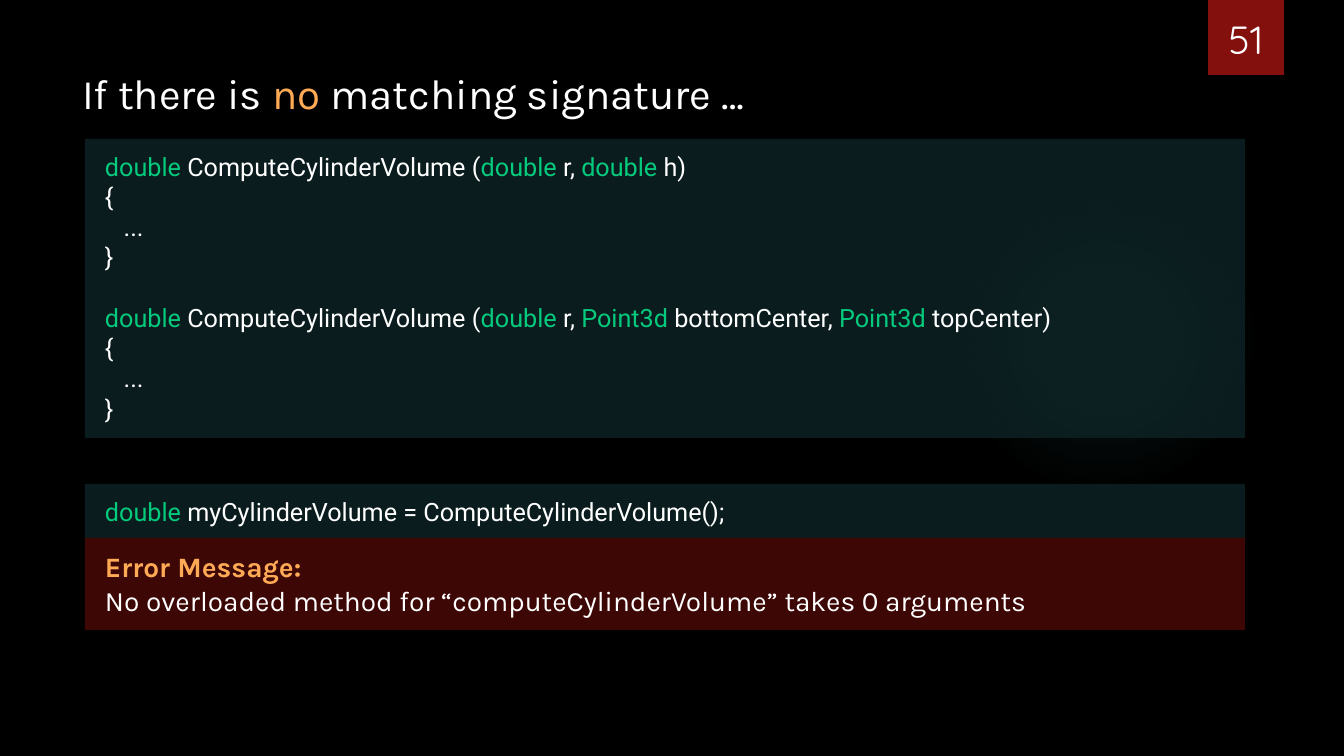
"""Build the slide on calls that match no method signature."""
from pptx import Presentation
from pptx import util as u
from pptx.dml.color import RGBColor
from pptx.enum import shapes, text
from pptx.oxml import parse_xml
from pptx.oxml.ns import nsdecls, qn

WHITE, GREEN, ORANGE = "FFFFFF", "04CA7D", "FFAA55"
TEAL, DARK_RED, RED, GLOW = "0F282A", "580A09", "84100E", "50B9C1"

TITLE = [("If there is ", WHITE), ("no", ORANGE), (" matching signature …", WHITE)]
PAGE = [("51", WHITE)]
BODY = [[("{", WHITE)], [("   ...", WHITE)], [("}", WHITE)]]
METHOD = [("double ", GREEN), ("ComputeCylinderVolume (", WHITE), ("double", GREEN), (" r, ", WHITE)]
BY_HEIGHT = METHOD + [("double", GREEN), (" h)", WHITE)]
BY_CENTERS = METHOD + [("Point3d ", GREEN), ("bottomCenter, ", WHITE),
                       ("Point3d ", GREEN), ("topCenter)", WHITE)]
CALL = [("double ", GREEN), ("myCylinderVolume = ComputeCylinderVolume();", WHITE)]
ERROR = [[("Error Message:", ORANGE)],
         [("No overloaded method for “computeCylinderVolume” takes 0 arguments", WHITE)]]

PANELS = [
    (139, 299, TEAL, "Roboto", 18, [BY_HEIGHT, *BODY, BY_CENTERS, *BODY]),
    (484, 54, TEAL, "Roboto", 18, [CALL]),
    (538, 92, DARK_RED, "Karla", 20, ERROR),
]
PANEL_LEFT, PANEL_WIDTH = 85, 1160
PANEL_OPACITY = 70
GLOW_STOPS = [(0, 7), (36, 6), (69, 0)]


def px(length):
    return u.Emu(round(length * 914400 / 100.8))


def box(*lengths):
    return [px(length) for length in lengths]


def rgb(value):
    return RGBColor.from_string(value)


def add_block(shapes_on_slide, kind, place, color):
    block = shapes_on_slide.add_shape(kind, *box(*place))
    block.shadow.inherit = False
    block.line.fill.background()
    block.fill.solid()
    block.fill.fore_color.rgb = rgb(color)
    return block


def write(paragraph, runs, font, size, align=text.PP_ALIGN.LEFT):
    paragraph.alignment = align
    paragraph.font.name = font
    paragraph.font.size = u.Pt(size)
    for words, color in runs:
        run = paragraph.add_run()
        run.text = words
        run.font.color.rgb = rgb(color)


def make_glow(ellipse):
    stops = "".join(
        f'<a:gs pos="{at * 1000}"><a:srgbClr val="{GLOW}"><a:alpha val="{opacity * 1000}"/>'
        f'</a:srgbClr></a:gs>' for at, opacity in GLOW_STOPS)
    gradient = parse_xml(
        f'<a:gradFill {nsdecls("a")}><a:gsLst>{stops}</a:gsLst><a:path path="circle">'
        '<a:fillToRect l="50000" t="50000" r="50000" b="50000"/></a:path></a:gradFill>')
    solid = ellipse._element.spPr.find(qn("a:solidFill"))
    solid.getparent().replace(solid, gradient)


def add_panel(shapes_on_slide, top, height, color, font, size, lines):
    place = (PANEL_LEFT, top, PANEL_WIDTH, height)
    panel = add_block(shapes_on_slide, shapes.MSO_SHAPE.RECTANGLE, place, color)
    tint = panel._element.spPr.find(qn("a:solidFill"))[0]
    tint.append(parse_xml(f'<a:alpha {nsdecls("a")} val="{PANEL_OPACITY * 1000}"/>'))
    frame = panel.text_frame
    frame.word_wrap = True
    frame.vertical_anchor = text.MSO_ANCHOR.TOP
    frame.margin_left = frame.margin_right = px(20)
    frame.margin_top = frame.margin_bottom = px(12)
    for index, runs in enumerate(lines):
        paragraph = frame.add_paragraph() if index else frame.paragraphs[0]
        if runs is BY_CENTERS:
            paragraph.space_before = u.Pt(21.6)
        write(paragraph, runs, font, size)
        if runs is ERROR[0]:
            paragraph.font.bold = True


def main():
    deck = Presentation()
    deck.slide_width, deck.slide_height = box(1344, 756)
    slide = deck.slides.add_slide(deck.slide_layouts[5])
    slide.background.fill.solid()
    slide.background.fill.fore_color.rgb = rgb("000000")

    title = slide.shapes.title
    title.left, title.top, title.width, title.height = box(72, 62, 760, 61)
    title.text_frame.word_wrap = True
    title.text_frame.auto_size = text.MSO_AUTO_SIZE.NONE
    title.text_frame.vertical_anchor = text.MSO_ANCHOR.TOP
    write(title.text_frame.paragraphs[0], TITLE, "Karla", 30)

    make_glow(add_block(slide.shapes, shapes.MSO_SHAPE.OVAL, (949, 184, 310, 310), GLOW))
    add_block(slide.shapes, shapes.MSO_SHAPE.RECTANGLE, (1208, 0, 76, 75), RED)
    page = slide.shapes.add_textbox(*box(1200, 0, 92, 67)).text_frame
    page.word_wrap = True
    page.vertical_anchor = text.MSO_ANCHOR.BOTTOM
    write(page.paragraphs[0], PAGE, "Quicksand", 28, text.PP_ALIGN.CENTER)

    for panel in PANELS:
        add_panel(slide.shapes, *panel)
    deck.save("out.pptx")


if __name__ == "__main__":
    main()
